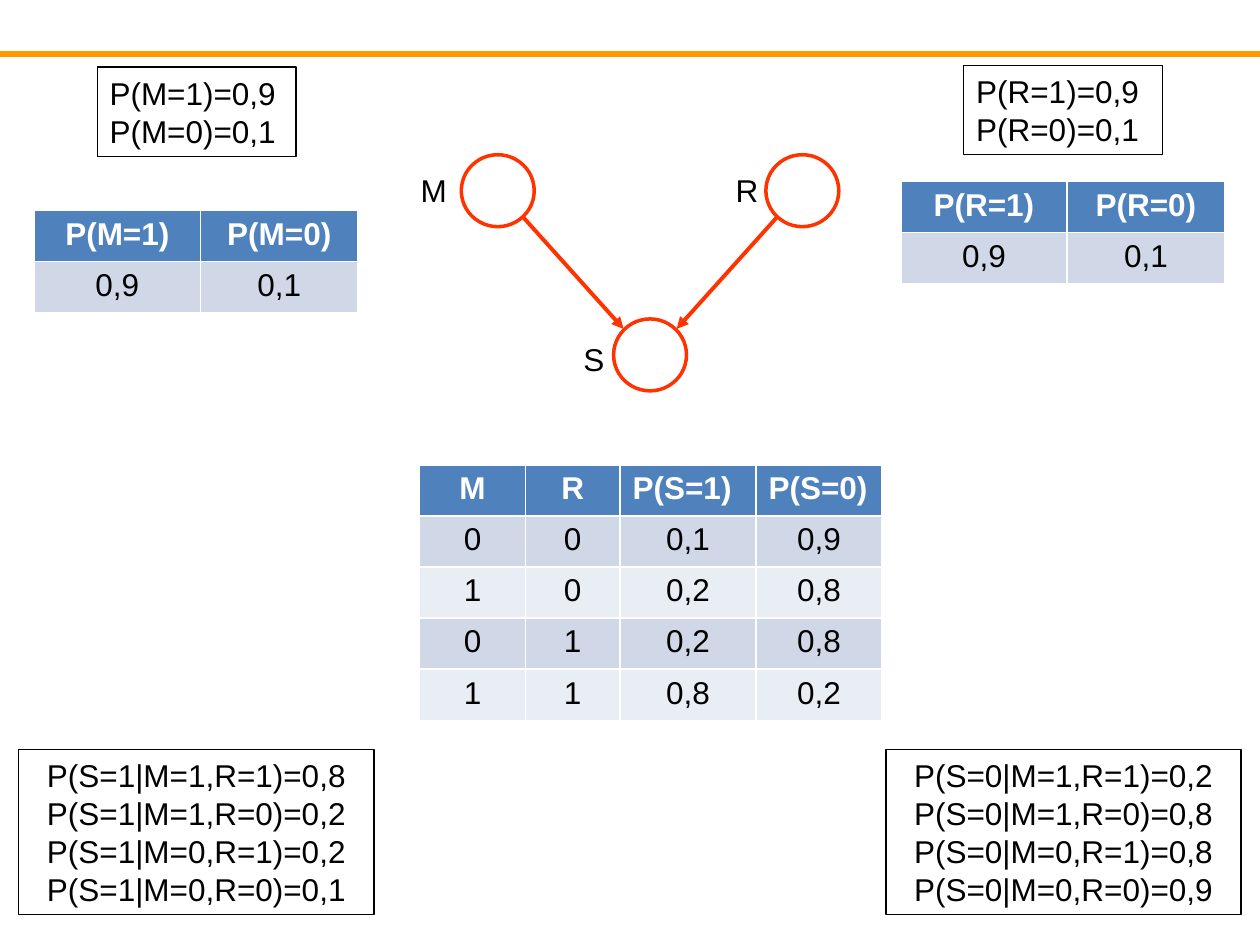
from dataclasses import dataclass

from lxml import etree
from pptx import Presentation
from pptx.dml.color import RGBColor
from pptx.enum.shapes import MSO_CONNECTOR, MSO_SHAPE
from pptx.enum.text import MSO_AUTO_SIZE, PP_ALIGN
from pptx.oxml.ns import qn
from pptx.slide import Slide
from pptx.text.text import TextFrame
from pptx.util import Cm, Pt

LEFT, CENTER = PP_ALIGN.LEFT, PP_ALIGN.CENTER
STRAIGHT = MSO_CONNECTOR.STRAIGHT
ELLIPSE, RECTANGLE = MSO_SHAPE.OVAL, MSO_SHAPE.RECTANGLE
FIT_SHAPE = MSO_AUTO_SIZE.SHAPE_TO_FIT_TEXT

BLACK = RGBColor(0x00, 0x00, 0x00)
WHITE = RGBColor(0xFF, 0xFF, 0xFF)
ORANGE = RGBColor(0xFF, 0x99, 0x00)
RED = RGBColor(0xFF, 0x33, 0x00)
HEADER_BLUE = RGBColor(0x4F, 0x81, 0xBD)
BANDS = (RGBColor(0xD0, 0xD8, 0xE8), RGBColor(0xE9, 0xED, 0xF4))

FONT, FONT_SIZE = "Arial", Pt(18)
NODE_WIDTH, NODE_HEIGHT = 1.47, 1.45
LABEL_WIDTH, LABEL_HEIGHT = 0.97, 1.03
ROW_HEIGHT = 1.03


# All positions and sizes below are centimetres.
@dataclass(frozen=True)
class Node:
    name: str
    left: float
    top: float
    label_left: float
    label_top: float


@dataclass(frozen=True)
class Edge:
    start: tuple[float, float]
    end: tuple[float, float]


@dataclass(frozen=True)
class ProbabilityTable:
    left: float
    top: float
    columns: tuple[float, ...]
    rows: tuple[tuple[str, ...], ...]
    left_headers: tuple[str, ...] = ()


@dataclass(frozen=True)
class FormulaBox:
    left: float
    top: float
    width: float
    height: float
    lines: tuple[str, ...]
    align: PP_ALIGN


NODES = (
    Node("M", 9.3, 3.12, 8.23, 3.33),
    Node("R", 15.44, 3.12, 14.58, 3.33),
    Node("S", 12.37, 6.43, 11.51, 6.73),
)
EDGES = (
    Edge((10.54, 4.37), (12.57, 6.63)),
    Edge((15.67, 4.37), (13.64, 6.63)),
)
PRIOR_COLUMNS = (3.35, 3.18)
TABLES = (
    ProbabilityTable(0.69, 4.24, PRIOR_COLUMNS,
                     (("P(M=1)", "P(M=0)"), ("0,9", "0,1"))),
    ProbabilityTable(18.16, 3.66, PRIOR_COLUMNS,
                     (("P(R=1)", "P(R=0)"), ("0,9", "0,1"))),
    ProbabilityTable(
        8.46, 9.37, (2.13, 1.91, 2.74, 2.54),
        (
            ("M", "R", "P(S=1)", "P(S=0)"),
            ("0", "0", "0,1", "0,9"),
            ("1", "0", "0,2", "0,8"),
            ("0", "1", "0,2", "0,8"),
            ("1", "1", "0,8", "0,2"),
        ),
        left_headers=("P(S=1)", "P(S=0)"),
    ),
)
BOXES = (
    FormulaBox(1.96, 1.35, 4.01, 1.8, ("P(M=1)=0,9", "P(M=0)=0,1"), LEFT),
    FormulaBox(19.43, 1.32, 4.01, 1.8, ("P(R=1)=0,9", "P(R=0)=0,1"), LEFT),
    FormulaBox(0.38, 15.11, 7.16, 3.33,
               ("P(S=1|M=1,R=1)=0,8", "P(S=1|M=1,R=0)=0,2",
                "P(S=1|M=0,R=1)=0,2", "P(S=1|M=0,R=0)=0,1"), CENTER),
    FormulaBox(17.86, 15.11, 7.16, 3.33,
               ("P(S=0|M=1,R=1)=0,2", "P(S=0|M=1,R=0)=0,8",
                "P(S=0|M=0,R=1)=0,8", "P(S=0|M=0,R=0)=0,9"), CENTER),
)


def write(frame: TextFrame, text: str, align: PP_ALIGN = LEFT,
          color: RGBColor = BLACK, bold: bool = False) -> None:
    frame.text = text
    for paragraph in frame.paragraphs:
        paragraph.alignment = align
        for run in paragraph.runs:
            run.font.name = FONT
            run.font.size = FONT_SIZE
            run.font.bold = bold
            run.font.color.rgb = color


def draw_line(slide: Slide, edge: Edge, color: RGBColor, width: float,
              arrow: bool = False) -> None:
    points = [Cm(value) for value in (*edge.start, *edge.end)]
    connector = slide.shapes.add_connector(STRAIGHT, *points)
    connector.line.color.rgb = color
    connector.line.width = Pt(width)
    if arrow:
        outline = connector.line._get_or_add_ln()
        etree.SubElement(outline, qn("a:tailEnd"), type="triangle")
    etree.SubElement(connector._element.spPr, qn("a:effectLst"))


def draw_node(slide: Slide, node: Node) -> None:
    circle = slide.shapes.add_shape(ELLIPSE, Cm(node.left), Cm(node.top),
                                    Cm(NODE_WIDTH), Cm(NODE_HEIGHT))
    circle.shadow.inherit = False
    circle.fill.solid()
    circle.fill.fore_color.rgb = WHITE
    circle.line.color.rgb = RED
    circle.line.width = Pt(2)


def draw_label(slide: Slide, node: Node) -> None:
    label = slide.shapes.add_textbox(Cm(node.label_left), Cm(node.label_top),
                                     Cm(LABEL_WIDTH), Cm(LABEL_HEIGHT))
    label.text_frame.word_wrap = True
    label.text_frame.auto_size = FIT_SHAPE
    write(label.text_frame, node.name)


def draw_table(slide: Slide, content: ProbabilityTable) -> None:
    """Draw a header row and banded rows; the default style gives the white grid."""
    row_count = len(content.rows)
    table = slide.shapes.add_table(
        row_count, len(content.columns), Cm(content.left), Cm(content.top),
        Cm(sum(content.columns)), Cm(ROW_HEIGHT * row_count)).table
    for column, width in zip(table.columns, content.columns):
        column.width = Cm(width)
    for row_index, values in enumerate(content.rows):
        header = row_index == 0
        table.rows[row_index].height = Cm(ROW_HEIGHT)
        for column_index, value in enumerate(values):
            cell = table.cell(row_index, column_index)
            cell.fill.solid()
            cell.fill.fore_color.rgb = (
                HEADER_BLUE if header else BANDS[(row_index - 1) % 2])
            write(cell.text_frame, value,
                  LEFT if value in content.left_headers else CENTER,
                  WHITE if header else BLACK, bold=header)


def draw_box(slide: Slide, box: FormulaBox) -> None:
    frame = slide.shapes.add_shape(RECTANGLE, Cm(box.left), Cm(box.top),
                                   Cm(box.width), Cm(box.height))
    frame.shadow.inherit = False
    frame.fill.background()
    frame.line.color.rgb = BLACK
    frame.line.width = Pt(0.75)
    frame.text_frame.word_wrap = True
    frame.text_frame.auto_size = FIT_SHAPE
    write(frame.text_frame, "\n".join(box.lines), box.align)


def main() -> None:
    presentation = Presentation()
    presentation.slide_width, presentation.slide_height = Cm(25.4), Cm(19.05)
    slide = presentation.slides.add_slide(presentation.slide_layouts[6])

    draw_line(slide, Edge((0, 1.09), (25.4, 1.09)), ORANGE, 3)
    for node in NODES:
        draw_node(slide, node)
    for edge in EDGES:
        draw_line(slide, edge, RED, 2.25, arrow=True)
    for node in NODES:
        draw_label(slide, node)
    for content in TABLES:
        draw_table(slide, content)
    for box in BOXES:
        draw_box(slide, box)
    presentation.save("out.pptx")


if __name__ == "__main__":
    main()
